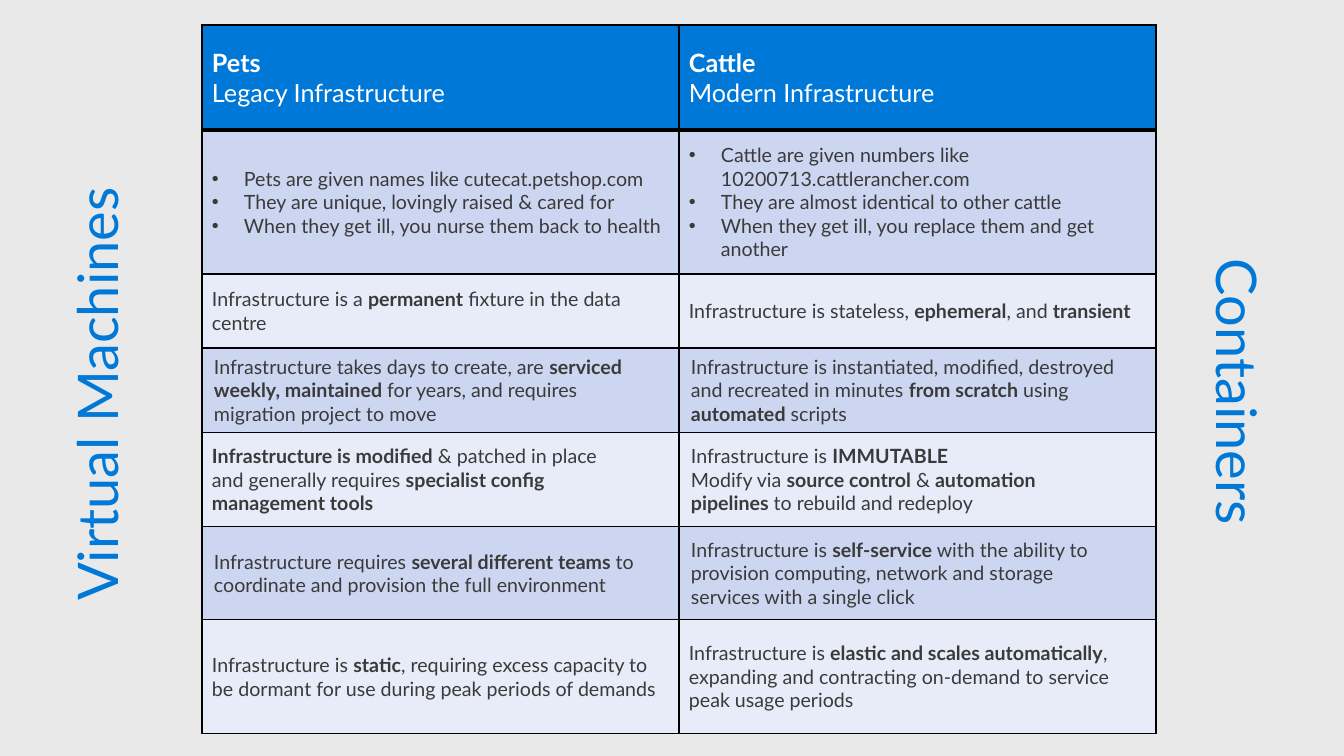
import pptx
import pptx.util
import pptx.dml.color
import pptx.enum.text
import pptx.oxml
import pptx.oxml.ns
from lxml import etree

RGBColor = pptx.dml.color.RGBColor
BACKGROUND = RGBColor(0xE9, 0xE9, 0xE9)
BLUE = RGBColor(0x00, 0x78, 0xD7)
WHITE = RGBColor(0xFF, 0xFF, 0xFF)
BLACK = RGBColor(0x00, 0x00, 0x00)
GREY = RGBColor(0x3A, 0x3A, 0x3A)
DARK_BAND = RGBColor(0xCC, 0xD6, 0xF0)
LIGHT_BAND = RGBColor(0xE7, 0xEC, 0xF8)

FONT = "Lato"
SCALE = 12192000 / 1344
BULLET_INDENT = 32
CELL_INSETS = (10, 5, 10, 5)

HEADER = ("**Pets**\nLegacy Infrastructure", "**Cattle**\nModern Infrastructure")
NAMING = (
    "Pets are given names like cutecat.petshop.com\n"
    "They are unique, lovingly raised & cared for\n"
    "When they get ill, you nurse them back to health",
    "Cattle are given numbers like 10200713.cattlerancher.com\n"
    "They are almost identical to other cattle\n"
    "When they get ill, you replace them and get another",
)
LIFETIME = (
    "Infrastructure is a **permanent** fixture in the data centre",
    "Infrastructure is stateless, **ephemeral**, and **transient**",
)
CREATION = (
    "Infrastructure takes days to create, are **serviced weekly, maintained **"
    "for years, and requires migration project to move",
    "Infrastructure is instantiated, modified, destroyed and recreated in minutes "
    "**from scratch **using **automated** scripts",
)
CHANGE = (
    "**Infrastructure is modified **& patched in place and generally requires "
    "**specialist config management tools**",
    "Infrastructure is **IMMUTABLE\v**Modify via **source control **& "
    "**automation pipelines **to rebuild and redeploy",
)
PROVISIONING = (
    "Infrastructure requires **several different teams **to coordinate and "
    "provision the full environment",
    "Infrastructure is **self-service** with the ability to provision computing, "
    "network and storage services with a single click",
)
CAPACITY = (
    "Infrastructure is **static**, requiring excess capacity to be dormant for "
    "use during peak periods of demands",
    "Infrastructure is **elastic and scales automatically**, expanding and "
    "contracting on-demand to service peak usage periods",
)
ROWS = [
    (105, HEADER, BLUE, CELL_INSETS, {"size": 18, "color": WHITE}),
    (144, NAMING, DARK_BAND, CELL_INSETS, {"bullet": True}),
    (74, LIFETIME, LIGHT_BAND, CELL_INSETS, {}),
    (85, CREATION, DARK_BAND, (12, 0, 30, 0), {}),
    (94, CHANGE, LIGHT_BAND, (12, 0, 60, 0), {}),
    (93, PROVISIONING, DARK_BAND, (12, 0, 40, 0), {}),
    (114, CAPACITY, LIGHT_BAND, CELL_INSETS, {}),
]


def px(length):
    """Turn a length in px into EMU."""
    return pptx.util.Emu(round(length * SCALE))


def set_insets(target, insets):
    """Set the left, top, right and bottom insets of a cell or text frame."""
    for side, inset in zip(("left", "top", "right", "bottom"), insets):
        setattr(target, "margin_" + side, px(inset))


def add_bullet(paragraph):
    """Give a paragraph a hanging round bullet."""
    properties = paragraph._p.get_or_add_pPr()
    properties.set("marL", str(px(BULLET_INDENT)))
    properties.set("indent", str(-px(BULLET_INDENT)))
    etree.SubElement(properties, pptx.oxml.ns.qn("a:buFont"), typeface="Arial")
    etree.SubElement(properties, pptx.oxml.ns.qn("a:buChar"), char="•")


def write_text(text_frame, text, size=14, color=GREY, bullet=False):
    """Write lines as paragraphs, with bold between double asterisks."""
    for number, line in enumerate(text.split("\n")):
        paragraph = text_frame.add_paragraph() if number else text_frame.paragraphs[0]
        if bullet:
            add_bullet(paragraph)
        for position, segment in enumerate(line.split("**")):
            for piece_number, piece in enumerate(segment.split("\v")):
                if piece_number:
                    paragraph.add_line_break()
                if piece:
                    run = paragraph.add_run()
                    run.text = piece
                    run.font.name = FONT
                    run.font.size = pptx.util.Pt(size)
                    run.font.bold = position % 2 == 1
                    run.font.color.rgb = color


def add_borders(cell, top, bottom):
    """Draw the four borders of a cell, with top and bottom widths in points."""
    properties = cell._tc.get_or_add_tcPr()
    widths = {"lnL": 1, "lnR": 1, "lnT": top, "lnB": bottom}
    for index, (tag, width) in enumerate(widths.items()):
        line = pptx.oxml.parse_xml(
            f'<a:{tag} {pptx.oxml.ns.nsdecls("a")} w="{pptx.util.Pt(width)}">'
            f'<a:solidFill><a:srgbClr val="{BLACK}"/></a:solidFill></a:{tag}>'
        )
        properties.insert(index, line)


def add_side_label(slide, text, box, rotation):
    """Place a label turned sideways inside an upright box."""
    left, top, width, height = box
    shape = slide.shapes.add_textbox(
        px(left + (width - height) / 2), px(top + (height - width) / 2),
        px(height), px(width),
    )
    shape.rotation = rotation
    shape.text_frame.word_wrap = False
    set_insets(shape.text_frame, (0, 0, 0, 0))
    write_text(shape.text_frame, text, size=40, color=BLUE)


def add_comparison_table(slide, left, top, width):
    """Place the table that sets pets against cattle."""
    height = sum(row[0] for row in ROWS)
    table = slide.shapes.add_table(
        len(ROWS), 2, px(left), px(top), px(width), px(height)
    ).table
    for column in table.columns:
        column.width = px(width / 2)
    for row_number, (row_height, texts, fill, insets, text_format) in enumerate(ROWS):
        table.rows[row_number].height = px(row_height)
        for column_number, text in enumerate(texts):
            cell = table.cell(row_number, column_number)
            cell.fill.solid()
            cell.fill.fore_color.rgb = fill
            cell.vertical_anchor = pptx.enum.text.MSO_ANCHOR.MIDDLE
            set_insets(cell, insets)
            add_borders(
                cell,
                top=3 if row_number == 1 else 1,
                bottom=3 if row_number == 0 else 1,
            )
            write_text(cell.text_frame, text, **text_format)
    table.cell(ROWS.index(ROWS[4]), 0).margin_left = px(10)


def main():
    """Build the slide and save it."""
    presentation = pptx.Presentation()
    presentation.slide_width = px(1344)
    presentation.slide_height = px(756)
    slide = presentation.slides.add_slide(presentation.slide_layouts[6])
    slide.background.fill.solid()
    slide.background.fill.fore_color.rgb = BACKGROUND
    add_side_label(slide, "Virtual Machines", (63, 185, 68, 416), 270)
    add_side_label(slide, "Containers", (1204, 259, 68, 267), 90)
    add_comparison_table(slide, 202, 25, 954)
    presentation.save("out.pptx")


if __name__ == "__main__":
    main()
